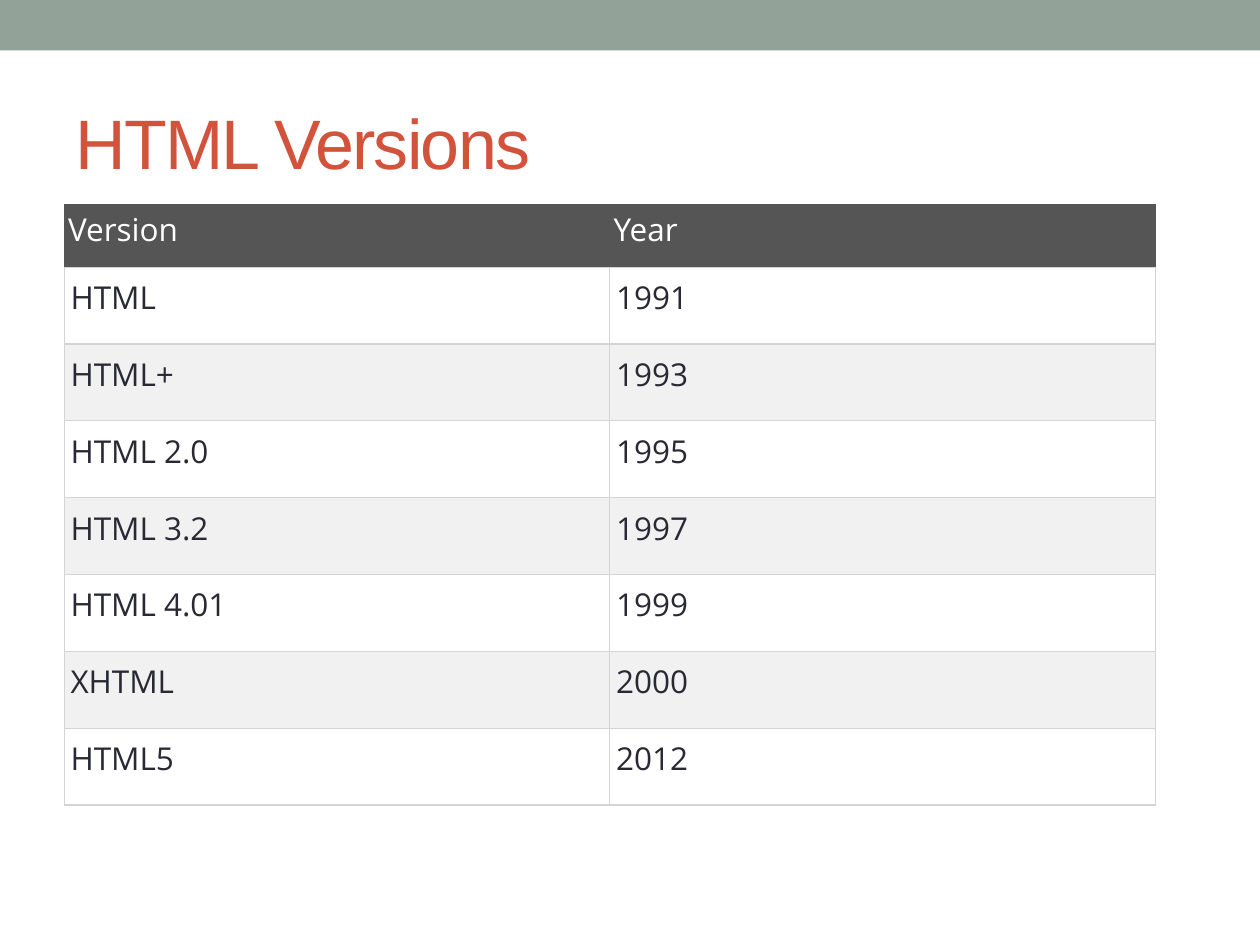
from lxml import etree
from pptx import Presentation
from pptx.dml.color import RGBColor
from pptx.enum.shapes import MSO_SHAPE
from pptx.enum.text import MSO_ANCHOR, MSO_AUTO_SIZE, PP_ALIGN
from pptx.oxml.ns import qn
from pptx.util import Inches, Pt

RECT = MSO_SHAPE.RECTANGLE
MIDDLE = MSO_ANCHOR.MIDDLE
NO_FIT = MSO_AUTO_SIZE.NONE
LEFT = PP_ALIGN.LEFT

WIDE, HIGH = 10, 7.5
DARK, GRID = "555555", "D4D4D4"
BANDS = ["FFFFFF", "F1F1F1"]
ROWS = [
    ("Version", "Year"),
    ("HTML", "1991"),
    ("HTML+", "1993"),
    ("HTML 2.0", "1995"),
    ("HTML 3.2", "1997"),
    ("HTML 4.01", "1999"),
    ("XHTML", "2000"),
    ("HTML5", "2012"),
]
HEAD = {"fill": DARK, "ink": "FFFFFF", "pad": (0.03, 0.03),
        "edges": {"L": DARK, "R": DARK, "T": DARK, "B": GRID}}
BODY = {"ink": "292934", "pad": (0.05, 0.07),
        "edges": dict.fromkeys("LRTB", GRID)}


def color(code):
    """Turn a hex string into a colour."""
    return RGBColor.from_string(code)


def paint(item, code):
    """Give an item a solid fill."""
    item.fill.solid()
    item.fill.fore_color.rgb = color(code)


def write(frame, text, face, size, ink):
    """Put one left-aligned run into a text frame and return it."""
    line = frame.paragraphs[0]
    line.alignment = LEFT
    run = line.add_run()
    run.text = text
    for name, value in {"name": face, "size": Pt(size), "bold": False}.items():
        setattr(run.font, name, value)
    run.font.color.rgb = color(ink)
    return run


def add_bar(slide):
    """Draw the band along the top edge."""
    bar = slide.shapes.add_shape(RECT, 0, 0, Inches(WIDE), Inches(0.4))
    bar.shadow.inherit = False
    paint(bar, "93A299")
    bar.line.fill.background()


def add_title(slide, text):
    """Place and format the title."""
    title = slide.shapes.title
    place = {"left": 0.5, "top": 0.58, "width": 9, "height": 1.08}
    for name, value in place.items():
        setattr(title, name, Inches(value))
    frame = title.text_frame
    frame.auto_size = NO_FIT
    frame.vertical_anchor = MIDDLE
    run = write(frame, text, "Arial", 40, "D2533C")
    run.font._element.set("spc", "-100")


def add_edge(cell, side, code):
    """Draw one border of a cell."""
    props = cell._tc.get_or_add_tcPr()
    line = etree.SubElement(props, qn(f"a:ln{side}"), w=str(Pt(0.75)))
    fill = etree.SubElement(line, qn("a:solidFill"))
    etree.SubElement(fill, qn("a:srgbClr"), val=code)


def fill_cell(cell, text, style, back):
    """Write and format one cell."""
    side, end = map(Inches, style["pad"])
    pads = {"left": side, "right": side, "top": end, "bottom": end}
    for name, value in pads.items():
        setattr(cell, f"margin_{name}", value)
    write(cell.text_frame, text, "Open Sans", 18, style["ink"])
    for name, code in style["edges"].items():
        add_edge(cell, name, code)
    paint(cell, back)


def add_grid(slide, rows):
    """Build the table of versions with a header and banded rows."""
    place = map(Inches, (0.51, 1.62, 8.66, 4.8))
    table = slide.shapes.add_table(len(rows), len(rows[0]), *place).table
    for r, texts in enumerate(rows):
        table.rows[r].height = Inches(0.61 if r else 0.5)
        style = BODY if r else HEAD
        back = BANDS[(r - 1) % 2] if r else HEAD["fill"]
        for c, text in enumerate(texts):
            fill_cell(table.cell(r, c), text, style, back)


def main():
    """Build the slide and save it."""
    deck = Presentation()
    deck.slide_width, deck.slide_height = Inches(WIDE), Inches(HIGH)
    slide = deck.slides.add_slide(deck.slide_layouts[5])
    add_bar(slide)
    add_title(slide, "HTML Versions")
    add_grid(slide, ROWS)
    deck.save("out.pptx")


if __name__ == "__main__":
    main()
